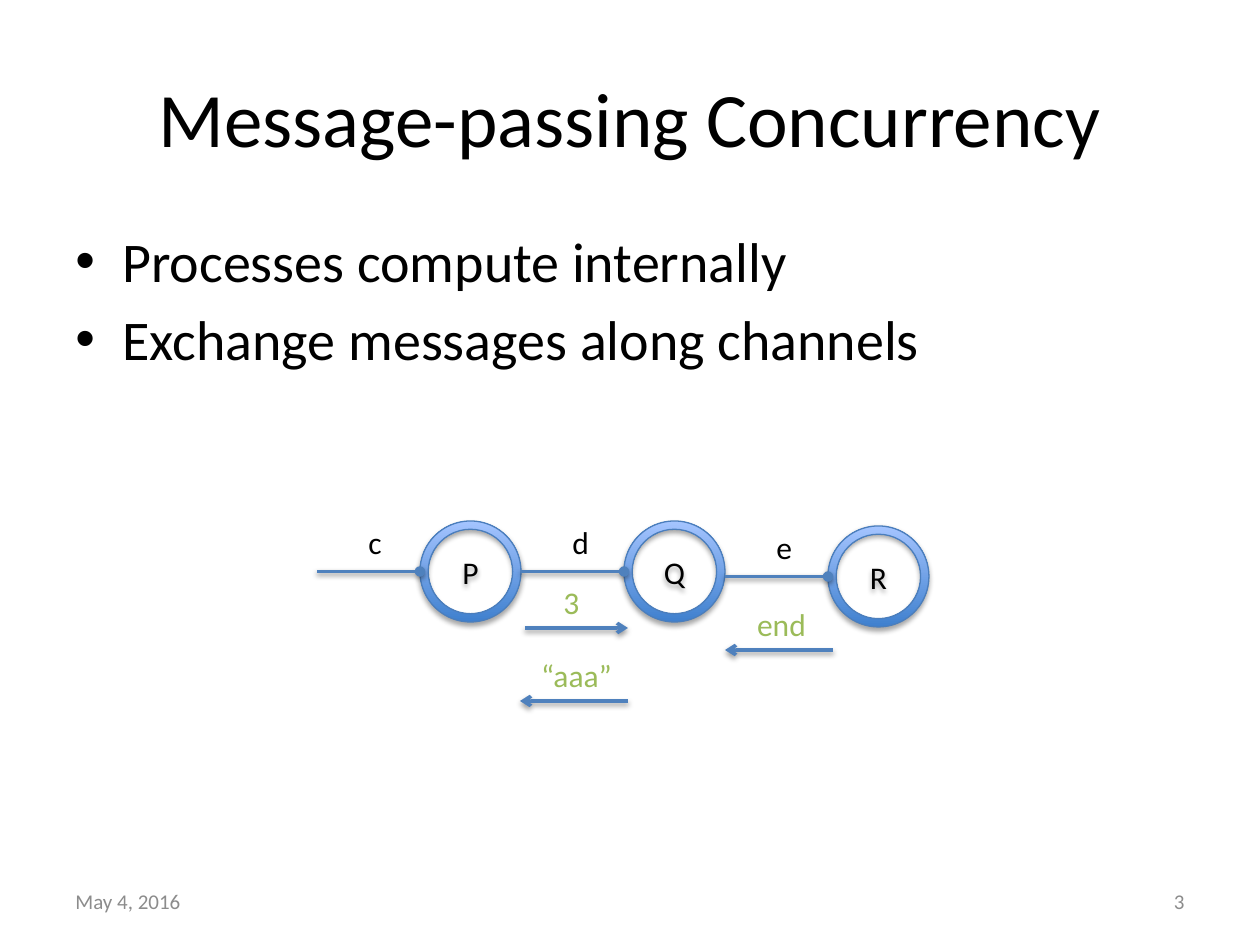
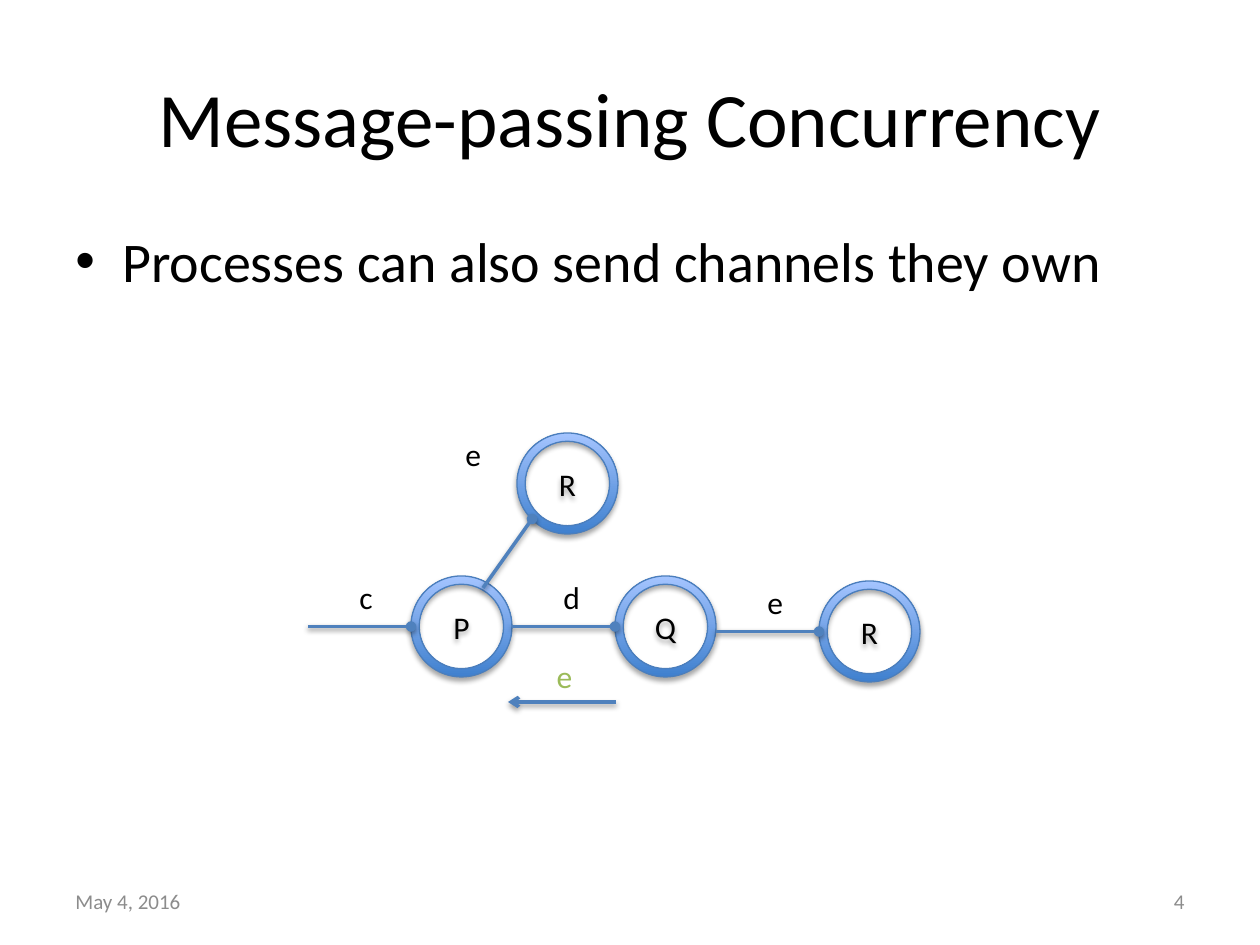
from lxml.etree import SubElement
from pptx import Presentation
from pptx.dml.color import RGBColor
from pptx.enum.shapes import MSO_CONNECTOR, MSO_SHAPE
from pptx.enum.text import MSO_ANCHOR, PP_ALIGN
from pptx.oxml.ns import qn
from pptx.util import Emu, Pt

SCALE = 914400 / 126
FONT = "Calibri"
COLORS = {
    "text": "000000",
    "footer": "8C8C8C",
    "message": "9BBB59",
    "line": "4F81BD",
    "ring_line": "4B7EBC",
    "ring_bottom": "3F80CE",
    "ring_top": "A4C4FF",
    "shadow": "000000",
}
TITLE = "Message-passing Concurrency"
DATE = "May 4, 2016"
RING = 101      # diameter of a process
CHANNEL = 103   # length of a channel
STEP = RING + CHANNEL


def px(value):
    """Turn pixels into EMU."""
    return Emu(round(value * SCALE))


def color(name):
    """Look up a colour by its role."""
    return RGBColor.from_string(COLORS[name])


def add_shadow(shape, opacity, distance):
    """Give a shape or connector a soft shadow straight below it."""
    properties = shape._element.spPr
    effects = properties.find(qn("a:effectLst"))
    if effects is None:
        effects = SubElement(properties, qn("a:effectLst"))
    shadow = SubElement(effects, qn("a:outerShdw"), blurRad=str(Pt(3.1)),
                        dist=str(Pt(distance)), dir="5400000", rotWithShape="0")
    shade = SubElement(shadow, qn("a:srgbClr"), val=COLORS["shadow"])
    SubElement(shade, qn("a:alpha"), val=str(opacity * 1000))


def write(text_frame, lines, size, color_name="text", align=PP_ALIGN.LEFT,
          anchor=MSO_ANCHOR.TOP):
    """Fill a text frame with evenly styled lines."""
    text_frame.text = "\n".join(lines)
    text_frame.vertical_anchor = anchor
    for paragraph in text_frame.paragraphs:
        paragraph.alignment = align
        for run in paragraph.runs:
            run.font.name = FONT
            run.font.size = Pt(size)
            run.font.color.rgb = color(color_name)


def add_text(shapes, box, lines, size, wrap=True, **style):
    """Add a text box at box (left, top, width, height)."""
    text_frame = shapes.add_textbox(*map(px, box)).text_frame
    text_frame.word_wrap = wrap
    write(text_frame, lines, size, **style)
    return text_frame


def add_bullets(shapes, box, lines):
    """Add the bulleted body text."""
    text_frame = add_text(shapes, box, lines, 32)
    for paragraph in text_frame.paragraphs:
        paragraph.space_before = Pt(6.4)
        properties = paragraph._p.get_or_add_pPr()
        properties.set("marL", str(px(47)))
        properties.set("indent", str(-px(47)))
        SubElement(properties, qn("a:buFont"), typeface="Arial")
        SubElement(properties, qn("a:buChar"), char="•")


def add_line(shapes, start, end, end_tag, end_type):
    """Add a shadowed line with a mark at its head or tail end."""
    connector = shapes.add_connector(MSO_CONNECTOR.STRAIGHT,
                                     *map(px, (*start, *end)))
    connector.line.color.rgb = color("line")
    connector.line.width = Pt(2)
    SubElement(connector.line._get_or_add_ln(), qn(end_tag), type=end_type)
    add_shadow(connector, 38, 1.6)


def add_process(slide, left, top, name, channel,
                start=(0, RING / 2), end=(-CHANNEL, RING / 2)):
    """Add a process ring with the channel it provides and its label."""
    shapes = slide.shapes.add_group_shape().shapes
    ring = shapes.add_shape(MSO_SHAPE.DONUT, *map(px, (left, top, RING, RING)))
    ring.adjustments[0] = 0.082
    ring.fill.gradient()
    ring.fill.gradient_angle = 90
    for stop, name_of_color in zip(ring.fill.gradient_stops,
                                   ("ring_bottom", "ring_top")):
        stop.color.rgb = color(name_of_color)
    ring.line.color.rgb = color("ring_line")
    ring.line.width = Pt(0.75)
    ring.shadow.inherit = False
    add_shadow(ring, 35, 1.8)
    write(ring.text_frame, [name], 18, align=PP_ALIGN.CENTER,
          anchor=MSO_ANCHOR.MIDDLE)
    add_line(shapes, (left + start[0], top + start[1]),
             (left + end[0], top + end[1]), "a:headEnd", "oval")
    add_text(shapes, (left - 64, top - 4, 42, 50), [channel], 18, wrap=False)


def add_chain(slide, left, top):
    """Add the row of processes P, Q and R, with R slightly lower."""
    for index, (name, channel, drop) in enumerate(
            [("P", "c", 0), ("Q", "d", 0), ("R", "e", 5)]):
        add_process(slide, left + index * STEP, top + drop, name, channel)


def add_message(slide, left, top, text, rightward=False):
    """Add a message label above an arrow in its direction of travel."""
    shapes = slide.shapes.add_group_shape().shapes
    add_text(shapes, (left, top, CHANNEL, 50), [text], 18,
             color_name="message", align=PP_ALIGN.CENTER)
    start, end = (5, CHANNEL + 5) if rightward else (CHANNEL, -5)
    add_line(shapes, (left + start, top + 51), (left + end, top + 51),
             "a:tailEnd", "arrow")


def add_base(presentation, bullets, number):
    """Add a slide with the shared title, body and footers."""
    slide = presentation.slides.add_slide(presentation.slide_layouts[6])
    add_text(slide.shapes, (63, 38, 1134, 158), [TITLE], 44,
             align=PP_ALIGN.CENTER, anchor=MSO_ANCHOR.MIDDLE)
    add_bullets(slide.shapes, (63, 220, 1134, 624), bullets)
    for left, text, align in [(903, str(number), PP_ALIGN.RIGHT),
                              (63, DATE, PP_ALIGN.LEFT)]:
        add_text(slide.shapes, (left, 876, 294, 50), [text], 12,
                 color_name="footer", align=align, anchor=MSO_ANCHOR.MIDDLE)
    return slide


def build_exchange(presentation):
    """Build the slide on messages along channels."""
    slide = add_base(presentation, ["Processes compute internally",
                                    "Exchange messages along channels"], 3)
    add_chain(slide, 420, 521)
    add_message(slide, 520, 577, "3", rightward=True)
    add_message(slide, 525, 650, "“aaa”")
    add_message(slide, 730, 599, "end")


def build_sending_channels(presentation):
    """Build the slide on sending a channel itself."""
    slide = add_base(presentation,
                     ["Processes can also send channels they own"], 4)
    add_chain(slide, 411, 576)
    add_message(slide, 513, 651, "e")
    add_process(slide, 517, 433, "R", "e", start=(15, 86), end=(-34, 155))


presentation = Presentation()
presentation.slide_width = px(1260)
presentation.slide_height = px(945)
build_exchange(presentation)
build_sending_channels(presentation)
presentation.save("out.pptx")
